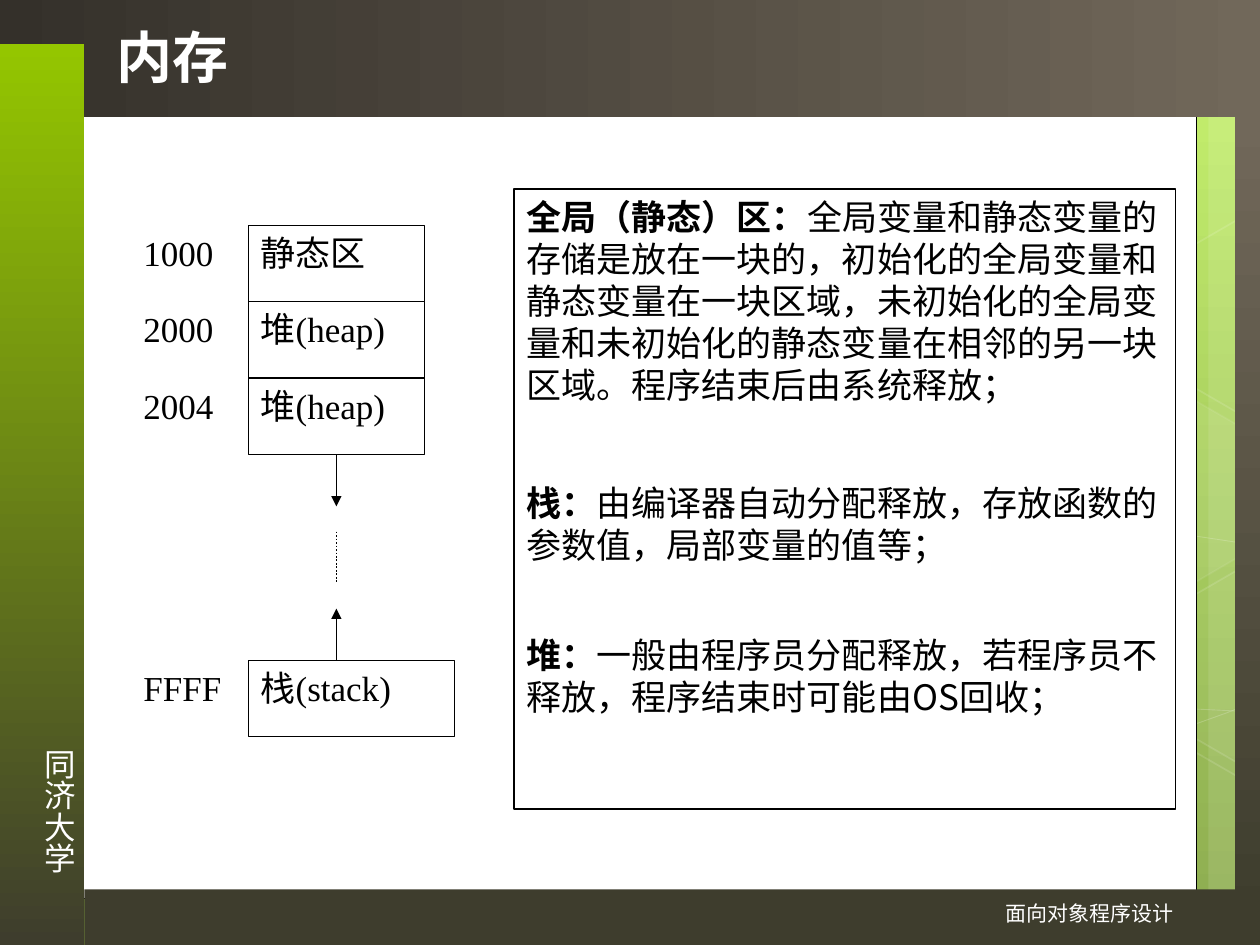
import pptx
import pptx.util
import pptx.dml.color
import pptx.enum.dml
import pptx.enum.shapes
import pptx.enum.text
import pptx.oxml
import pptx.oxml.ns
import lxml.etree

COLORS = {
    "white": "FFFFFF", "black": "000000", "lime": "C2F35F", "moss": "80A33D",
    "green": "94C600", "olive": "3E3D2D", "brown": "34302A", "taupe": "71685A",
}
ALIGN = pptx.enum.text.PP_ALIGN
SHAPE = pptx.enum.shapes.MSO_SHAPE
qn = pptx.oxml.ns.qn

deck = pptx.Presentation()
deck.slide_width = pptx.util.Inches(10)
deck.slide_height = pptx.util.Inches(7.5)
slide = deck.slides.add_slide(deck.slide_layouts[6])
CELL = deck.slide_width // 100  # the slide is a grid of 100 columns by 75 rows


def draw(area=None, fill=None, line=None, kind=SHAPE.RECTANGLE, points=None,
         closed=True, fill_alpha=100, line_alpha=100, width=0.75):
    """Add a shape on the grid; a pair of fill colours makes a gradient."""
    if points:
        points = [(x * CELL, y * CELL) for x, y in points]
        builder = slide.shapes.build_freeform(*points[0])
        builder.add_line_segments(points[1:], close=closed)
        shape = builder.convert_to_shape()
    else:
        shape = slide.shapes.add_shape(kind, *[round(n * CELL) for n in area])
    shape.shadow.inherit = False
    if isinstance(fill, tuple):
        shape.fill.gradient()
        for stop, color in zip(shape.fill.gradient_stops, fill):
            stop.color.rgb = pptx.dml.color.RGBColor.from_string(COLORS[color])
    for part, color, alpha in ((shape.fill, fill, fill_alpha), (shape.line.fill, line, line_alpha)):
        if color is None:
            part.background()
        elif isinstance(color, str):
            part.solid()
            part.fore_color.rgb = pptx.dml.color.RGBColor.from_string(COLORS[color])
    if line:
        shape.line.width = pptx.util.Pt(width)
    for holder, alpha in ((shape.element.spPr, fill_alpha), (shape.element.spPr.find(qn("a:ln")), line_alpha)):
        if alpha < 100:
            color_node = holder.find(qn("a:solidFill"))[0]
            lxml.etree.SubElement(color_node, qn("a:alpha"), val=str(alpha * 1000))
    return shape


def write(shape, paragraphs, size, font, color="black", align=ALIGN.LEFT, gaps=(0,)):
    """Fill a shape with paragraphs, each a list of (text, bold) runs."""
    frame = shape.text_frame
    frame.word_wrap = True
    frame.vertical_anchor = pptx.enum.text.MSO_ANCHOR.TOP
    for number, (runs, gap) in enumerate(zip(paragraphs, gaps)):
        paragraph = frame.paragraphs[0] if number == 0 else frame.add_paragraph()
        paragraph.alignment = align
        if gap:
            paragraph.space_before = pptx.util.Pt(gap)
        paragraph.font.size = pptx.util.Pt(size)
        paragraph.font.name = font
        paragraph.font.color.rgb = pptx.dml.color.RGBColor.from_string(COLORS[color])
        for text, bold in runs:
            run = paragraph.add_run()
            run.text = text
            if bold:
                run.font.bold = True


# Green background
backdrop = slide.background.fill
backdrop.gradient()
backdrop.gradient_angle = 270
for stop, color in zip(backdrop.gradient_stops, ("lime", "moss")):
    stop.color.rgb = pptx.dml.color.RGBColor.from_string(COLORS[color])

# Pale bands, curves and hexagons in the strip on the right
for left, width in ((95.9, 5), (90, 8.3)):
    draw((left, 0, width, 75), "white", fill_alpha=10)

curves = [
    [(0.7, 67.3), (6.1, 67.6), (11.5, 67.9), (19, 67.8), (26.5, 67.7), (35.8, 67.5), (45.8, 66.5),
     (55.8, 65.5), (70, 63.6), (79.2, 61.7), (88.3, 59.8), (97.7, 56.8), (100.7, 55.1)],
    [(0.7, 47.7), (3.6, 46.1), (6.5, 44.6), (12.1, 43.1), (17.8, 41.6), (25.9, 39.4), (34.7, 38.7),
     (43.6, 38), (54.4, 37.9), (65.4, 38.7), (76.4, 39.5), (94.7, 42.6), (100.7, 43.4)],
    [(24.2, 74.9), (26, 72.9), (27.8, 70.9), (30.2, 69.1), (32.6, 67.2), (36, 65.3), (38.8, 63.9),
     (41.6, 62.5), (43.3, 61.9), (46.9, 60.9), (50.6, 59.9), (57.3, 58.5), (60.8, 57.8),
     (64.4, 57.1), (64.9, 57.1), (68, 56.9), (71.1, 56.6), (76, 56.3), (79.4, 56.2),
     (82.9, 56.1), (88.6, 56.2), (88.6, 56.2), (92, 56.2), (95.3, 56.2), (100.6, 56.6)],
]
STEPS = 8
for curve in curves:
    points = [curve[0]]
    for start in range(0, len(curve) - 1, 3):
        for step in range(1, STEPS + 1):
            t = step / STEPS
            weights = ((1 - t) ** 3, 3 * t * (1 - t) ** 2, 3 * t ** 2 * (1 - t), t ** 3)
            bend = curve[start:start + 4]
            points.append(tuple(sum(w * p[axis] for w, p in zip(weights, bend)) for axis in (0, 1)))
    draw(line="white", points=points, closed=False, line_alpha=20, width=0.5)

for top, fill, fill_alpha, line_alpha in ((59.3, None, 100, 12), (31.4, "white", 7, 8)):
    hexagon = draw((83.4, top, 17.5, 15.2), fill, "white", SHAPE.HEXAGON,
                   fill_alpha=fill_alpha, line_alpha=line_alpha, width=1)
    hexagon.adjustments[0] = 0.285
    hexagon.rotation = 30
cut_hexagon = [(92.6, 4.4), (100.2, 0), (100.9, 0.5), (100.9, 17.2), (100.2, 17.6), (92.6, 13.2)]
for top, fill, fill_alpha in ((44.1, "white", 4), (16.3, None, 100)):
    draw(fill=fill, line="white", points=[(x, top + y) for x, y in cut_hexagon],
         fill_alpha=fill_alpha, line_alpha=12, width=1)

# Page and frame bars
draw((5, 3.6, 90, 67.7), "white", "black", width=0.5)
draw((6.7, 70.6, 93.3, 4.4), "olive")
for area, colors, angle in (
    ((0, 0, 100, 9.3), ("brown", "taupe"), 0),
    ((0, 3.5, 6.7, 71.5), ("green", "olive"), 270),
    ((98, 9.1, 2, 63.8), ("taupe", "olive"), 270),
):
    draw(area, colors).fill.gradient_angle = angle

# University name, set vertically
school = slide.shapes.add_textbox(*[round(n * CELL) for n in (1.7, 58.4, 5, 11)])
write(school, [[("同济大学", False)]], 18, "Arial", "white")
school.text_frame.word_wrap = False
school.text_frame.margin_left = school.text_frame.margin_right = pptx.util.Inches(0.05)
school.text_frame.margin_top = school.text_frame.margin_bottom = pptx.util.Inches(0.1)
school.text_frame._txBody.bodyPr.set("vert", "eaVert")

# Memory blocks with their addresses
ROW = 6.05
HEAP_TOP, STACK_TOP = 17.9, 52.4
for address, content, top, width in (
    ("1000", "静态区", HEAP_TOP, 14),
    ("2000", "堆(heap)", HEAP_TOP + ROW, 14),
    ("2004", "堆(heap)", HEAP_TOP + 2 * ROW, 14),
    ("FFFF", "栈(stack)", STACK_TOP, 16.4),
):
    block = draw((19.7, top, width, ROW), "white", "black")
    write(block, [[(content, False)]], 20, "Times New Roman", align=ALIGN.JUSTIFY)
    address_box = slide.shapes.add_textbox(*[round(n * CELL) for n in (10.4, top, 11.7, ROW)])
    write(address_box, [[(address, False)]], 20, "Times New Roman", align=ALIGN.JUSTIFY)
    if address == "2004":
        last_heap = block

# Heap grows down, stack grows up, free space between
for start, end, arrow in ((HEAP_TOP + 3 * ROW, 40.2, True), (STACK_TOP, 48.3, True), (42.2, 46.3, False)):
    growth = slide.shapes.add_connector(
        pptx.enum.shapes.MSO_CONNECTOR.STRAIGHT,
        *[round(n * CELL) for n in (26.7, start, 26.7, end)])
    if start < 40:
        growth.begin_connect(last_heap, 2)
    growth.line.color.rgb = pptx.dml.color.RGBColor.from_string(COLORS["black"])
    growth.line.width = pptx.util.Pt(0.75 if arrow else 1)
    if arrow:
        lxml.etree.SubElement(growth.line._get_or_add_ln(), qn("a:tailEnd"), type="triangle")
    else:
        growth.line.dash_style = pptx.enum.dml.MSO_LINE.ROUND_DOT
    lxml.etree.SubElement(growth._element.spPr, qn("a:effectLst"))

# Explanation of the memory areas
explanation = draw((40.8, 15, 52.5, 49.2), "white", "black")
write(explanation, [
    [("全局（静态）区：", True),
     ("全局变量和静态变量的存储是放在一块的，初始化的全局变量和静态变量在一块区域，"
      "未初始化的全局变量和未初始化的静态变量在相邻的另一块区域。程序结束后由系统释放；", False)],
    [("栈：", True), ("由编译器自动分配释放，存放函数的参数值，局部变量的值等；", False)],
    [("堆：", True), ("一般由程序员分配释放，若程序员不释放，程序结束时可能由OS回收；", False)],
], 20, "Noto Sans CJK SC", gaps=(0, 43.5, 39))

# Course name and title
course = slide.shapes.add_textbox(*[round(n * CELL) for n in (55.8, 71, 38.3, 4)])
write(course, [[("面向对象程序设计", False)]], 12, "Arial", "white", ALIGN.RIGHT)
title = slide.shapes.add_textbox(*[round(n * CELL) for n in (8.3, 1.3, 76.8, 7.9)])
write(title, [[("内存", True)]], 32, "League Spartan", "white")

deck.save("out.pptx")
